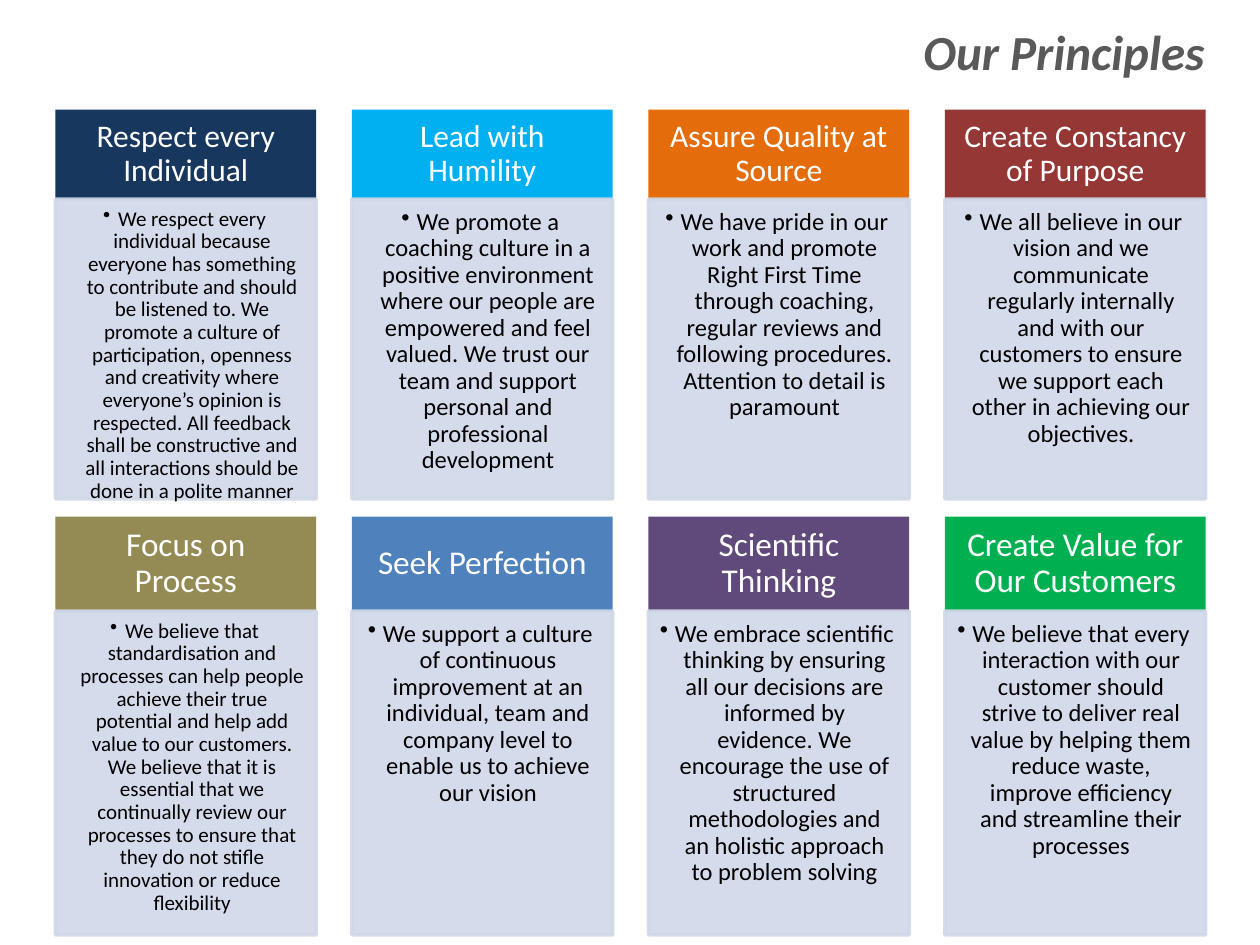
from dataclasses import dataclass

from lxml.etree import SubElement
from pptx import Presentation
from pptx.dml.color import RGBColor
from pptx.enum.shapes import MSO_SHAPE as Shape
from pptx.enum.text import MSO_ANCHOR as Anchor, MSO_AUTO_SIZE as AutoSize, PP_ALIGN as Align
from pptx.oxml.ns import qn
from pptx.util import Inches, Pt


@dataclass(frozen=True)
class Theme:
    font: str = "Calibri"
    title: str = "595959"
    header_text: str = "FFFFFF"
    body_text: str = "000000"
    panel: str = "D0D8E8"
    panel_opacity: int = 90
    title_size: int = 28
    line_spacing: float = 0.9
    bullet_indent: float = 0.12


@dataclass(frozen=True)
class Row:
    top: float
    header_height: float
    body_height: float
    header_size: int
    header_margins: tuple


THEME = Theme()
SLIDE_WIDTH, SLIDE_HEIGHT = 10, 7.5
LEFT, RIGHT, COLUMNS, CARD_WIDTH = 0.44, 0.43, 4, 2.07
PITCH = (SLIDE_WIDTH - LEFT - RIGHT - CARD_WIDTH) / (COLUMNS - 1)
ROWS = (
    Row(0.87, 0.71, 2.38, 18, (0.14, 0.08, 0.14, 0.08)),
    Row(4.1, 0.75, 2.57, 19, (0.15, 0.08, 0.15, 0.08)),
)
BODY_MARGINS = {12: (0.07, 0.07, 0.09, 0.1), 14: (0.08, 0.08, 0.11, 0.12)}

# Heading, heading colour, body size, body text
PRINCIPLES = (
    ("Respect every Individual", "17375E", 12,
     "We respect every individual because everyone has something to contribute and "
     "should be listened to. We promote a culture of participation, openness and "
     "creativity where everyone’s opinion is respected. All feedback shall be "
     "constructive and all interactions should be done in a polite manner"),
    ("Lead with Humility", "00B0F0", 14,
     "We promote a coaching culture in a positive environment where our people are "
     "empowered and feel valued. We trust our team and support personal and "
     "professional development"),
    ("Assure Quality at Source", "E46C0A", 14,
     "We have pride in our work and promote Right First Time through coaching, "
     "regular reviews and following procedures. Attention to detail is paramount"),
    ("Create Constancy of Purpose", "953735", 14,
     "We all believe in our vision and we communicate regularly internally and with "
     "our customers to ensure we support each other in achieving our objectives."),
    ("Focus on Process", "948A54", 12,
     "We believe that standardisation and processes can help people achieve their "
     "true potential and help add value to our customers. We believe that it is "
     "essential that we continually review our processes to ensure that they do not "
     "stifle innovation or reduce flexibility"),
    ("Seek Perfection", "4F81BD", 14,
     "We support a culture of continuous improvement at an individual, team and "
     "company level to enable us to achieve our vision"),
    ("Scientific Thinking", "604A7B", 14,
     "We embrace scientific thinking by ensuring all our decisions are informed by "
     "evidence. We encourage the use of structured methodologies and an holistic "
     "approach to problem solving"),
    ("Create Value for Our Customers", "00B050", 14,
     "We believe that every interaction with our customer should strive to deliver "
     "real value by helping them reduce waste, improve efficiency and streamline "
     "their processes"),
)


def set_values(target, values):
    for name, value in values.items():
        setattr(target, name, value)


def format_font(paragraph, size, color, **values):
    set_values(paragraph.font, {"name": THEME.font, "size": Pt(size), **values})
    paragraph.font.color.rgb = RGBColor.from_string(color)


def add_title(slide, text):
    title = slide.shapes.title
    set_values(title, {"left": Inches(7.2), "top": Inches(0.12),
                       "width": Inches(2.46), "height": Inches(0.57)})
    set_values(title.text_frame, {"text": text, "word_wrap": False,
                                  "auto_size": AutoSize.SHAPE_TO_FIT_TEXT,
                                  "vertical_anchor": Anchor.TOP})
    paragraph = title.text_frame.paragraphs[0]
    paragraph.alignment = Align.RIGHT
    format_font(paragraph, THEME.title_size, THEME.title, bold=True, italic=True)


def add_box(slide, left, top, height, color, text, margins, anchor):
    """Add a filled card part and return it with its centred paragraph."""
    box = slide.shapes.add_shape(Shape.RECTANGLE, Inches(left), Inches(top),
                                 Inches(CARD_WIDTH), Inches(height))
    box.shadow.inherit = False
    box.fill.solid()
    box.fill.fore_color.rgb = RGBColor.from_string(color)
    sides = ("margin_left", "margin_top", "margin_right", "margin_bottom")
    set_values(box.text_frame, {"text": text, "word_wrap": True, "vertical_anchor": anchor,
                                **dict(zip(sides, map(Inches, margins)))})
    paragraph = box.text_frame.paragraphs[0]
    set_values(paragraph, {"alignment": Align.CENTER, "line_spacing": THEME.line_spacing})
    return box, paragraph


def add_bullet(paragraph):
    paragraph.level = 1
    properties = paragraph._p.get_or_add_pPr()
    indent = Inches(THEME.bullet_indent)
    properties.set("marL", str(indent))
    properties.set("indent", str(-indent))
    SubElement(properties, qn("a:buChar")).set("char", "•")


def set_opacity(fill, percent):
    for color in fill.iter(qn("a:srgbClr")):
        SubElement(color, qn("a:alpha")).set("val", str(percent * 1000))


def add_header(slide, left, row, heading, color):
    box, paragraph = add_box(slide, left, row.top, row.header_height, color, heading,
                             row.header_margins, Anchor.MIDDLE)
    box.line.fill.background()
    format_font(paragraph, row.header_size, THEME.header_text)


def add_body(slide, left, row, text, size):
    box, paragraph = add_box(slide, left, row.top + row.header_height, row.body_height,
                             THEME.panel, text, BODY_MARGINS[size], Anchor.TOP)
    box.line.width = Pt(2)
    box.line.color.rgb = RGBColor.from_string(THEME.panel)
    set_opacity(box._element.spPr, THEME.panel_opacity)
    add_bullet(paragraph)
    format_font(paragraph, size, THEME.body_text)


def main():
    presentation = Presentation()
    set_values(presentation, {"slide_width": Inches(SLIDE_WIDTH),
                              "slide_height": Inches(SLIDE_HEIGHT)})
    slide = presentation.slides.add_slide(presentation.slide_layouts.get_by_name("Title Only"))
    add_title(slide, "Our Principles")
    for index, (heading, color, size, text) in enumerate(PRINCIPLES):
        row_number, column = divmod(index, COLUMNS)
        row, left = ROWS[row_number], LEFT + column * PITCH
        add_header(slide, left, row, heading, color)
        add_body(slide, left, row, text, size)
    presentation.save("out.pptx")


if __name__ == "__main__":
    main()
